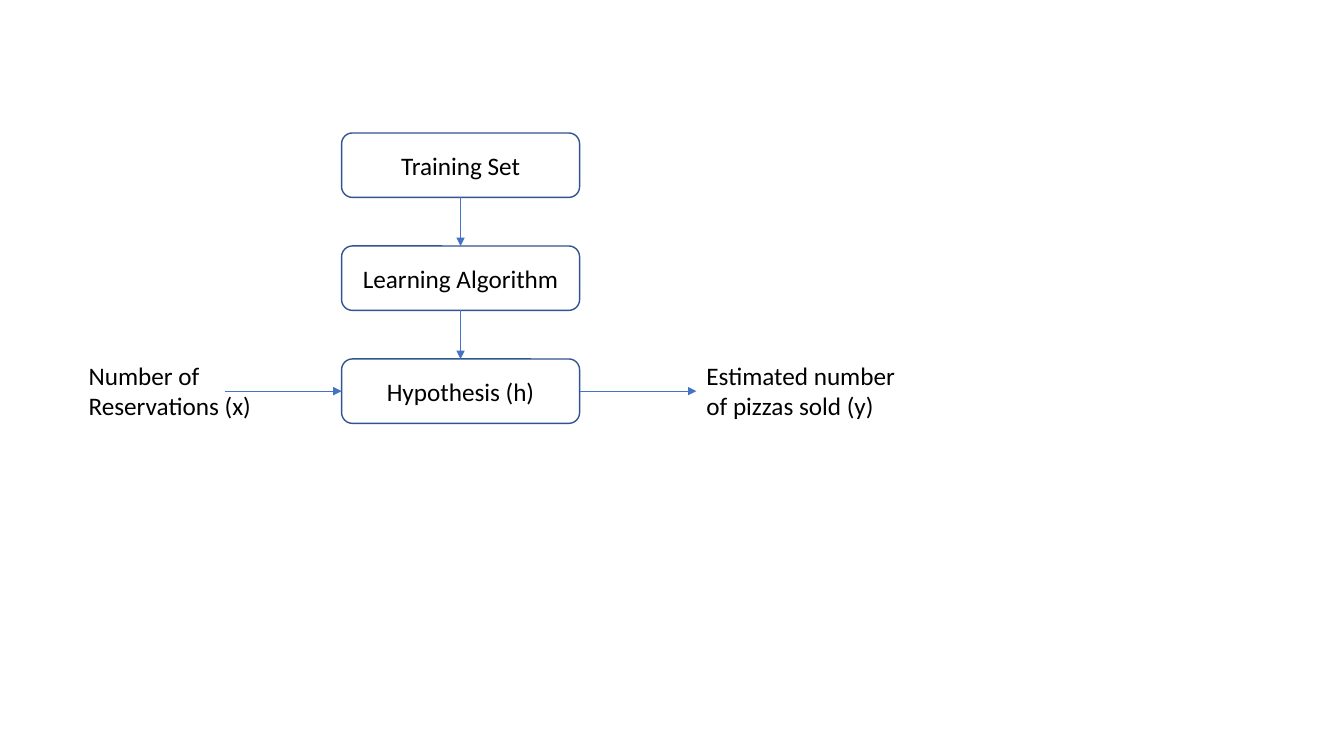
from pptx import Presentation
from pptx.dml.color import RGBColor
from pptx.enum.shapes import MSO_CONNECTOR, MSO_SHAPE
from pptx.enum.text import MSO_ANCHOR, MSO_AUTO_SIZE, PP_ALIGN
from pptx.util import Pt
from lxml.etree import SubElement
from pptx.oxml.ns import qn

THEME = {
    "font": "Calibri",
    "size": Pt(18),
    "text": RGBColor.from_string("000000"),
    "fill": RGBColor.from_string("FFFFFF"),
    "outline": RGBColor.from_string("325491"),
    "arrow": RGBColor.from_string("4472C4"),
}
LEFT, TOP, WIDTH, HEIGHT, PITCH = 244, 95, 170, 46, 80.7
ARROW_LENGTH = 83.5


def write(tf, lines, align):
    """Fill a text frame with one paragraph per line."""
    for i, line in enumerate(lines):
        p = tf.paragraphs[0] if i == 0 else tf.add_paragraph()
        p.text = line
        p.alignment = align
        p.font.name = THEME["font"]
        p.font.size = THEME["size"]
        p.font.color.rgb = THEME["text"]


prs = Presentation()
prs.slide_width, prs.slide_height = Pt(960), Pt(540)
s = prs.slides.add_slide(prs.slide_layouts[6])

# Stages, from top to bottom
for i, stage in enumerate(["Training Set", "Learning Algorithm", "Hypothesis (h)"]):
    sp = s.shapes.add_shape(MSO_SHAPE.ROUNDED_RECTANGLE, Pt(LEFT),
                            Pt(TOP + i * PITCH), Pt(WIDTH), Pt(HEIGHT))
    sp.shadow.inherit = False
    sp.fill.solid()
    sp.fill.fore_color.rgb = THEME["fill"]
    sp.line.color.rgb = THEME["outline"]
    sp.line.width = Pt(1)
    sp.text_frame.vertical_anchor = MSO_ANCHOR.MIDDLE
    write(sp.text_frame, [stage], PP_ALIGN.CENTER)

# Arrows between stages, then into and out of the hypothesis
center, right = LEFT + WIDTH / 2, LEFT + WIDTH
middle = TOP + 2 * PITCH + HEIGHT / 2
arrows = [(center, TOP + i * PITCH + HEIGHT, center, TOP + (i + 1) * PITCH)
          for i in range(2)]
arrows += [(x, middle, x + ARROW_LENGTH, middle) for x in (LEFT - ARROW_LENGTH, right)]
for ends in arrows:
    arrow = s.shapes.add_connector(MSO_CONNECTOR.STRAIGHT, *map(Pt, ends))
    arrow.line.color.rgb = THEME["arrow"]
    arrow.line.width = Pt(0.5)
    SubElement(arrow.line._get_or_add_ln(), qn("a:tailEnd"), type="triangle")
    SubElement(arrow._element.spPr, qn("a:effectLst"))

# Input and output labels
labels = [
    (56.2, 132, ["Number of", "Reservations (x)"]),
    (right + ARROW_LENGTH, 155, ["Estimated number", "of pizzas sold (y)"]),
]
for left, width, lines in labels:
    label = s.shapes.add_textbox(Pt(left), Pt(253.5), Pt(width), Pt(51))
    tf = label.text_frame
    tf.word_wrap = False
    tf.auto_size = MSO_AUTO_SIZE.SHAPE_TO_FIT_TEXT
    write(tf, lines, PP_ALIGN.LEFT)

prs.save("out.pptx")
